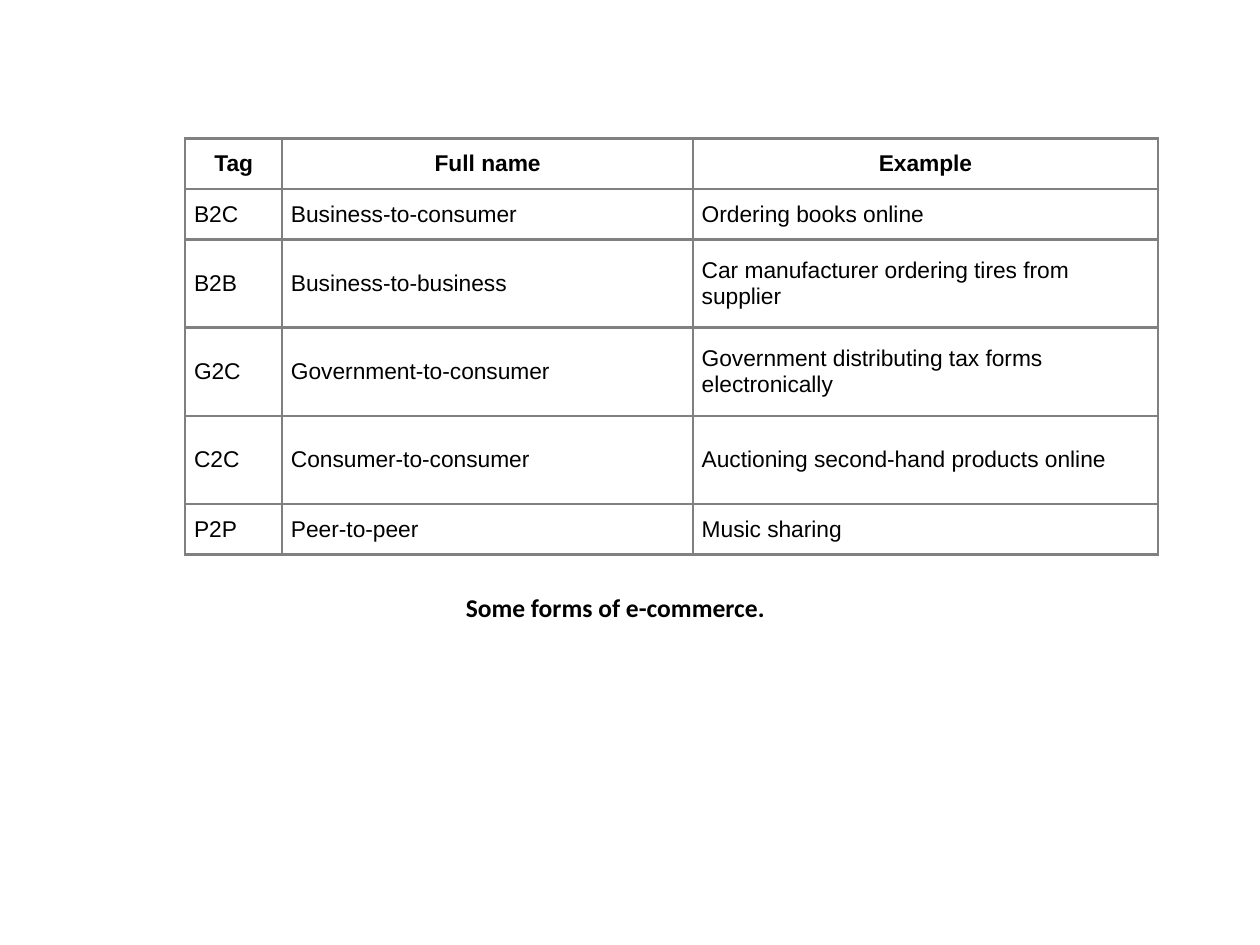
"""Build a slide with a table of e-commerce forms and its caption."""
from lxml.etree import SubElement
from pptx import Presentation
from pptx.dml.color import RGBColor
from pptx.enum.text import MSO_ANCHOR as Anchor, MSO_AUTO_SIZE as AutoSize, PP_ALIGN as Align
from pptx.oxml.ns import qn
from pptx.util import Inches, Pt


def style_text(para, font_name, size, bold, color="000000"):
    for span in para.runs:
        span.font.name = font_name
        span.font.size = Pt(size)
        span.font.bold = bold
        span.font.color.rgb = RGBColor.from_string(color)


def add_borders(cell, color, width):
    properties = cell._tc.get_or_add_tcPr()
    for side in ("lnL", "lnR", "lnT", "lnB"):
        line = SubElement(properties, qn(f"a:{side}"), w=str(Pt(width)))
        fill = SubElement(line, qn("a:solidFill"))
        SubElement(fill, qn("a:srgbClr"), val=color)


deck = Presentation()
deck.slide_width, deck.slide_height = Inches(10), Inches(7.5)
page = deck.slides.add_slide(deck.slide_layouts[6])

forms = [
    ("Tag", "Full name", "Example"),
    ("B2C", "Business-to-consumer", "Ordering books online"),
    ("B2B", "Business-to-business", "Car manufacturer ordering tires from supplier"),
    ("G2C", "Government-to-consumer", "Government distributing tax forms electronically"),
    ("C2C", "Consumer-to-consumer", "Auctioning second-hand products online"),
    ("P2P", "Peer-to-peer", "Music sharing"),
]
column_widths = [0.77, 3.26, 3.69]
row_heights = [0.4, 0.4, 0.7, 0.7, 0.7, 0.4]

table = page.shapes.add_table(
    len(forms), len(column_widths), Inches(1.47), Inches(1.1),
    Inches(sum(column_widths)), Inches(sum(row_heights)),
).table
table.horz_banding = False
for column, width in zip(table.columns, column_widths):
    column.width = Inches(width)
for row, height in zip(table.rows, row_heights):
    row.height = Inches(height)

for row_index, form in enumerate(forms):
    is_header = row_index == 0
    for column_index, text in enumerate(form):
        cell = table.cell(row_index, column_index)
        cell.text = text
        cell.vertical_anchor = Anchor.MIDDLE
        cell.margin_left = cell.margin_right = Inches(0.07)
        cell.margin_top = cell.margin_bottom = Inches(0.04)
        add_borders(cell, "808080", 1.5)
        cell.fill.background()
        para = cell.text_frame.paragraphs[0]
        para.alignment = Align.CENTER if is_header else Align.LEFT
        style_text(para, "Arial", 13, is_header)

caption = page.shapes.add_textbox(Inches(2.47), Inches(4.65), Inches(4.83), Inches(0.35))
frame = caption.text_frame
frame.text = "Some forms of e-commerce."
frame.word_wrap = True
frame.auto_size = AutoSize.SHAPE_TO_FIT_TEXT
para = frame.paragraphs[0]
para.alignment = Align.CENTER
style_text(para, "Calibri", 14.6, True)

deck.save("out.pptx")
